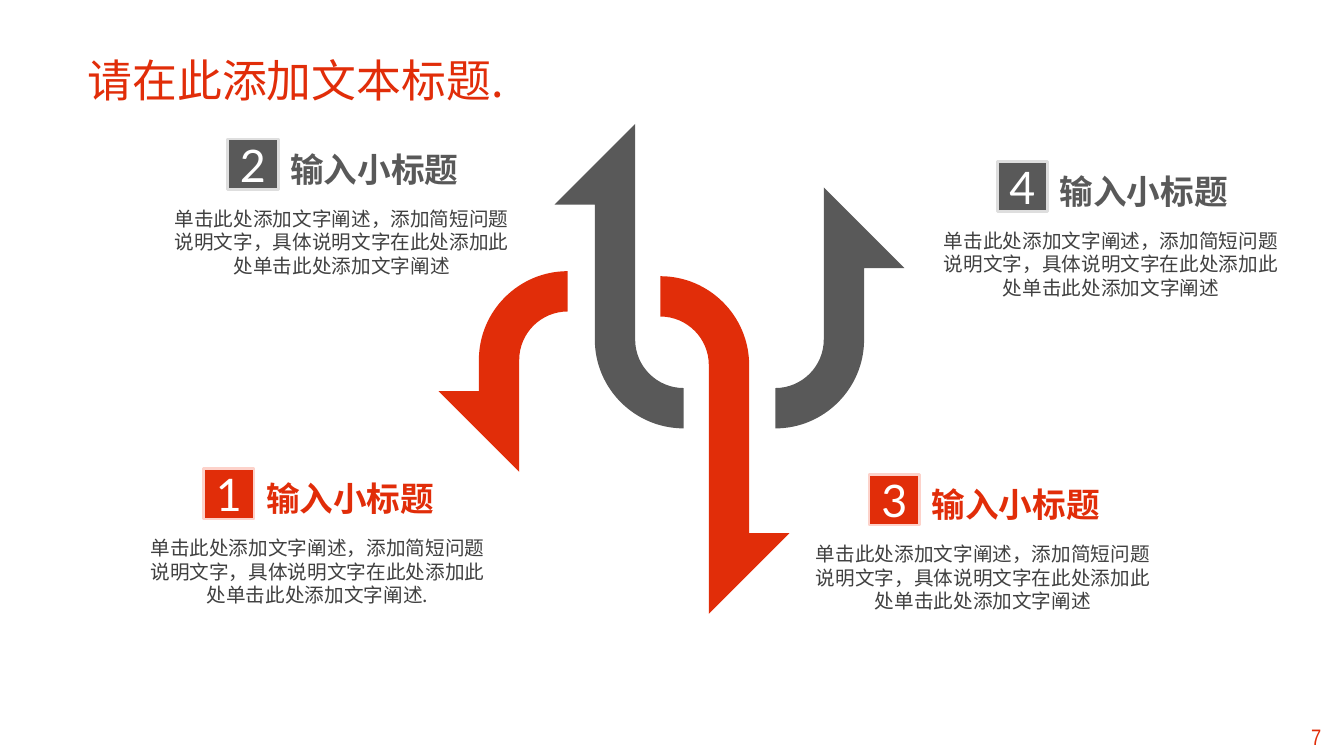
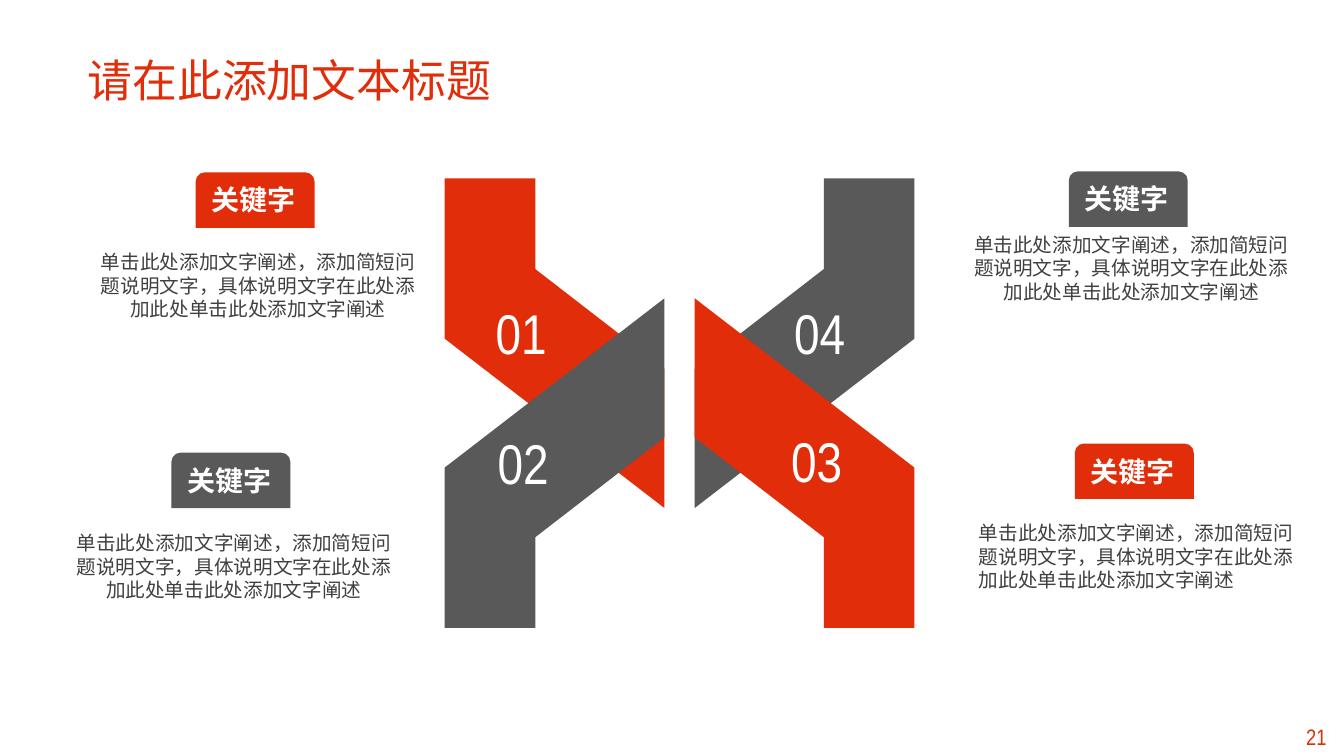
from lxml import etree
from pptx import Presentation
from pptx.dml.color import RGBColor
from pptx.enum.shapes import MSO_SHAPE
from pptx.enum.text import MSO_ANCHOR, PP_ALIGN
from pptx.oxml.ns import qn
from pptx.util import Inches, Pt

LEFT, CENTER = PP_ALIGN.LEFT, PP_ALIGN.CENTER
TOP, MIDDLE = MSO_ANCHOR.TOP, MSO_ANCHOR.MIDDLE
RECT, TAB = MSO_SHAPE.RECTANGLE, MSO_SHAPE.ROUND_2_SAME_RECTANGLE

RED, GREY, INK, WHITE = "E12D09", "595959", "404040", "FFFFFF"
PALE = {RED: "FDD2CA", GREY: "DEDEDE"}
CJK = "Noto Sans CJK SC"

# pitch is the line height in multiples of the text size
TITLE = dict(size=32, color=RED, font=CJK, pitch=1.22)
PAGE = dict(size=16, color=RED, font="Arial Narrow", align=CENTER)
BADGE = dict(size=32, font="Lato", align=CENTER, anchor=MIDDLE, insets=(0, 0, 0, 0))
HEADING = dict(size=24, font="Calibri", bold=True, pitch=1.45, insets=(0.17, 0, 0.17, 0))
BODY = dict(size=14, color=INK, font=CJK, pitch=1.2)
KEYWORD = dict(size=20, font=CJK, bold=True, pitch=1.22)
NUMBER = dict(size=40, font="Arial Narrow", align=CENTER)

BODY_TEXT = ("单击此处添加文字阐述，添加简短问题说明文字，"
             "具体说明文字在此处添加此处单击此处添加文字阐述")


def paint(shape, fill, line=None):
    shape.shadow.inherit = False
    shape.fill.solid()
    shape.fill.fore_color.rgb = RGBColor.from_string(fill)
    if line:
        shape.line.color.rgb = RGBColor.from_string(line)
        shape.line.width = Pt(2)
    else:
        shape.line.fill.background()


def write(holder, text, size, font, color=WHITE, bold=False, align=LEFT, anchor=TOP,
          pitch=None, insets=(0.1, 0.05, 0.1, 0.05)):
    """Put one formatted paragraph in a text box or shape."""
    frame = holder.text_frame
    frame.word_wrap = True
    frame.vertical_anchor = anchor
    for side, inset in zip(("left", "top", "right", "bottom"), insets):
        setattr(frame, f"margin_{side}", Inches(inset))
    paragraph = frame.paragraphs[0]
    paragraph.alignment = align
    if pitch:
        paragraph.line_spacing = Pt(round(size * pitch, 1))
    run = paragraph.add_run()
    run.text = text
    for key, value in dict(size=Pt(size), bold=bold, name=font).items():
        setattr(run.font, key, value)
    run.font.color.rgb = RGBColor.from_string(color)
    etree.SubElement(run._r.get_or_add_rPr(), qn("a:ea"), typeface=CJK)


prs = Presentation()
prs.slide_width, prs.slide_height = Inches(13.33), Inches(7.5)
blank = prs.slide_layouts[6]

canvases = []
for title, page in (("请在此添加文本标题.", "7"), ("请在此添加文本标题", "21")):
    shapes = prs.slides.add_slide(blank).shapes
    write(shapes.add_textbox(Inches(0.77), Inches(0.47), Inches(5.11), Inches(0.64)),
          title, **TITLE)
    write(shapes.add_textbox(Inches(12.78), Inches(7.13), Inches(0.55), Inches(0.37)),
          page, **PAGE)
    canvases.append(shapes)
arrows_canvas, ribbons_canvas = canvases

# Bent arrows: a quarter ring, a straight leg and a half head on the outer side
OUTER, INNER, BARB, HEAD = 0.88, 0.48, 0.4, 0.8
ROUND = 0.55  # pull of the curve handles that makes a quarter circle

# colour, ring centre x and y, side (-1 left), heading (-1 up), head y, badge x and y, end mark
arrows = [
    (RED, 5.63, 3.57, -1, 1, 3.88, 2.02, 4.65, "."),
    (GREY, 6.78, 3.37, -1, -1, 2.03, 2.26, 1.38, ""),
    (RED, 6.55, 3.62, 1, 1, 5.29, 8.62, 4.71, ""),
    (GREY, 7.69, 3.37, 1, -1, 2.66, 9.89, 1.6, ""),
]
for number, (color, cx, cy, side, down, head_y, x, y, mark) in enumerate(arrows, 1):
    outline = [
        (cx, cy - down * OUTER),
        (cx + side * OUTER, cy),
        (cx + side * OUTER, head_y),
        (cx + side * (OUTER + BARB), head_y),
        (cx + side * INNER, head_y + down * HEAD),
        (cx + side * INNER, cy),
        (cx, cy - down * INNER),
    ]
    points = [(Inches(px), Inches(py)) for px, py in outline]
    builder = arrows_canvas.build_freeform(*points[0])
    builder.add_line_segments(points[1:])
    arrow = builder.convert_to_shape()
    paint(arrow, color)

    # Bend the first and last edges into quarter circles
    corners = list(arrow._element.iter(qn("a:pt")))
    for start, end, flat_start in ((0, 1, True), (5, 6, False)):
        x0, y0, x1, y1 = (int(corners[i].get(axis)) for i in (start, end) for axis in "xy")
        reach_x, reach_y = round(ROUND * (x1 - x0)), round(ROUND * (y1 - y0))
        if flat_start:
            handles = [(x0 + reach_x, y0), (x1, y1 - reach_y)]
        else:
            handles = [(x0, y0 + reach_y), (x1 - reach_x, y1)]
        edge = corners[end].getparent()
        curve = etree.Element(qn("a:cubicBezTo"))
        for hx, hy in handles + [(x1, y1)]:
            etree.SubElement(curve, qn("a:pt"), x=str(hx), y=str(hy))
        edge.getparent().replace(edge, curve)

    badge = arrows_canvas.add_shape(RECT, Inches(x), Inches(y), Inches(0.5), Inches(0.5))
    paint(badge, color, PALE[color])
    write(badge, str(number), **BADGE)
    write(arrows_canvas.add_textbox(Inches(x + 0.45), Inches(y + 0.01), Inches(2.94), Inches(0.42)),
          "输入小标题", color=color, **HEADING)
    write(arrows_canvas.add_textbox(Inches(x - 0.79), Inches(y + 0.67), Inches(3.84), Inches(0.82)),
          BODY_TEXT + mark, align=CENTER, insets=(0.17, 0, 0.17, 0), **BODY)

# Crossing ribbons: one outline mirrored about the centre of the figure
MID_X, MID_Y = 6.74, 4.0
ribbon = [(2.33, -2.23), (1.43, -2.23), (1.43, -1.33), (0.15, -0.34), (0.15, 1.04), (2.33, -0.64)]

# number, colour, side, vertical flip, number x and y, tab x and y, body x and y, body alignment
ribbons = [
    ("04", GREY, 1, 1, 7.66, 2.91, 10.6, 1.7, 9.53, 2.26, CENTER),
    ("01", RED, -1, 1, 4.7, 2.91, 1.94, 1.71, 0.87, 2.43, CENTER),
    ("02", GREY, -1, -1, 4.72, 4.2, 1.7, 4.49, 0.63, 5.22, CENTER),
    ("03", RED, 1, -1, 7.63, 4.18, 10.66, 4.4, 9.61, 5.12, LEFT),
]
for number, color, side, flip, number_x, number_y, x, y, body_x, body_y, align in ribbons:
    points = [(Inches(MID_X + side * dx), Inches(MID_Y + flip * dy)) for dx, dy in ribbon]
    builder = ribbons_canvas.build_freeform(*points[0])
    builder.add_line_segments(points[1:])
    paint(builder.convert_to_shape(), color)

    write(ribbons_canvas.add_textbox(Inches(number_x), Inches(number_y), Inches(0.94), Inches(0.77)),
          number, **NUMBER)
    paint(ribbons_canvas.add_shape(TAB, Inches(x), Inches(y), Inches(1.18), Inches(0.55)), color)
    write(ribbons_canvas.add_textbox(Inches(x + 0.06), Inches(y + 0.05), Inches(1.18), Inches(0.44)),
          "关键字", **KEYWORD)
    write(ribbons_canvas.add_textbox(Inches(body_x), Inches(body_y), Inches(3.38), Inches(0.81)),
          BODY_TEXT, align=align, **BODY)

prs.save("out.pptx")
